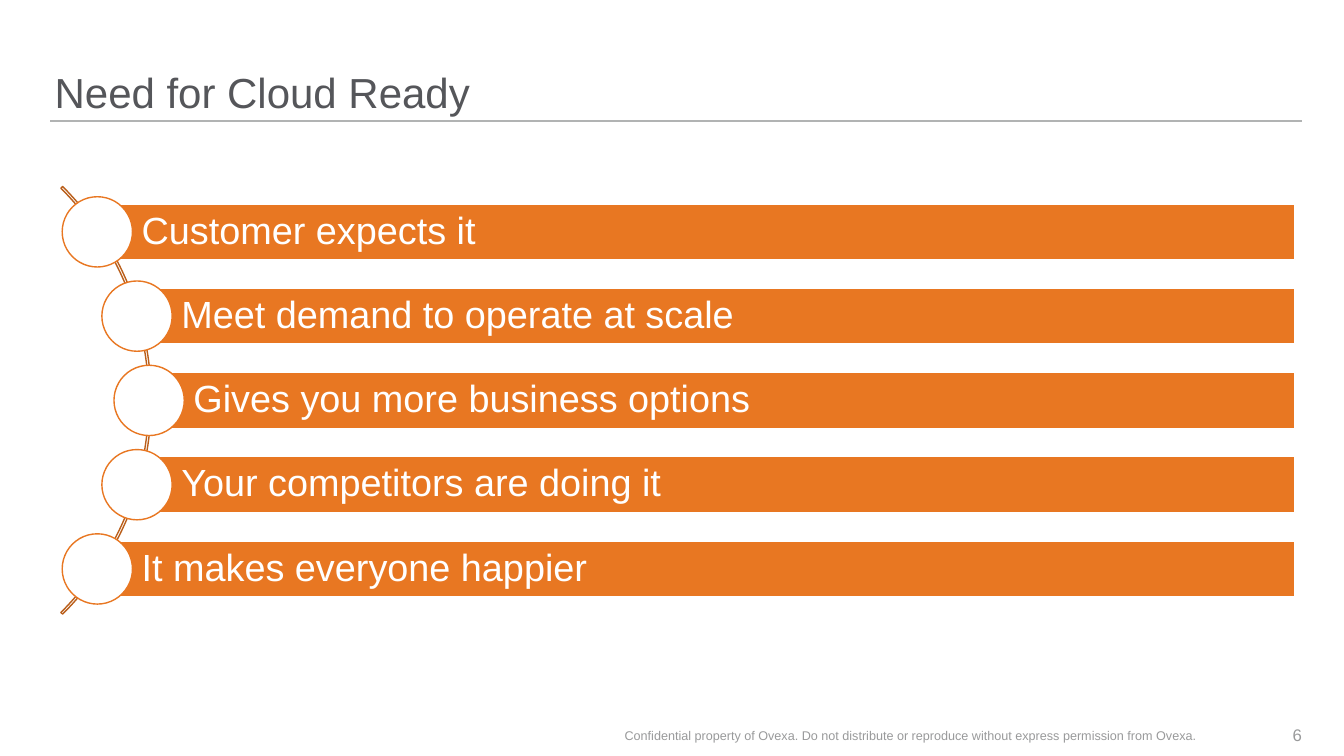
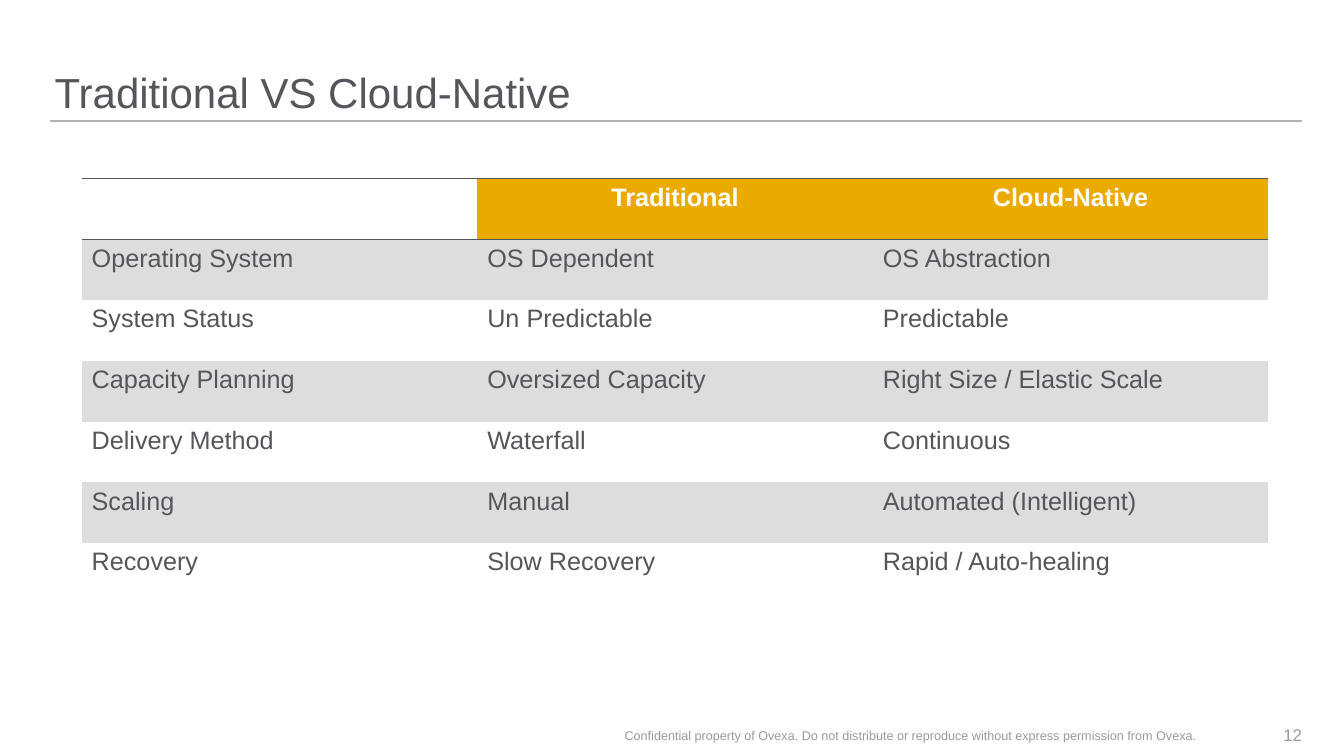
import math

import lxml.etree
import pptx
import pptx.dml.color
import pptx.enum.shapes
import pptx.enum.text
import pptx.oxml.ns
import pptx.util

Pt = pptx.util.Pt
ALIGN = pptx.enum.text.PP_ALIGN
ANCHOR = pptx.enum.text.MSO_ANCHOR
SHAPE = pptx.enum.shapes.MSO_SHAPE

COLORS = {
    "text": "55565A",
    "rule": "B1B3B3",
    "footer": "999A9B",
    "orange": "E87722",
    "arc": "BA5F1B",
    "gold": "EAAA00",
    "band": "DDDDDD",
    "white": "FFFFFF",
}
FONT = "Arial"
FOOTER = ("Confidential property of Ovexa. Do not distribute or reproduce "
          "without express permission from Ovexa.")
NO_GRID_STYLE = "{2D5ABB26-0587-4C30-8999-92F81FD0307C}"

REASONS = [
    "Customer expects it",
    "Meet demand to operate at scale",
    "Gives you more business options",
    "Your competitors are doing it",
    "It makes everyone happier",
]
COMPARISON = [
    ("", "Traditional", "Cloud-Native"),
    ("Operating System", "OS Dependent", "OS Abstraction"),
    ("System Status", "Un Predictable", "Predictable"),
    ("Capacity Planning", "Oversized Capacity", "Right Size / Elastic Scale"),
    ("Delivery Method", "Waterfall", "Continuous"),
    ("Scaling", "Manual", "Automated (Intelligent)"),
    ("Recovery", "Slow Recovery", "Rapid / Auto-healing"),
]


def color(name):
    return pptx.dml.color.RGBColor.from_string(COLORS[name])


def set_text(frame, text, size, ink, align=ALIGN.LEFT, bold=False):
    frame.text = text
    para = frame.paragraphs[0]
    para.alignment = align
    for span in para.runs:
        span.font.name = FONT
        span.font.size = Pt(size)
        span.font.bold = bold
        span.font.color.rgb = color(ink)
    return para


def set_frame(frame, anchor, left=0, other=0):
    frame.word_wrap = True
    frame.auto_size = pptx.enum.text.MSO_AUTO_SIZE.NONE
    frame.vertical_anchor = anchor
    frame.margin_left = Pt(left)
    frame.margin_top = frame.margin_right = frame.margin_bottom = Pt(other)


def add_page(deck, title, number):
    page = deck.slides.add_slide(deck.slide_layouts[5])
    rule = page.shapes.add_connector(
        pptx.enum.shapes.MSO_CONNECTOR.STRAIGHT, Pt(36), Pt(86.4), Pt(930), Pt(86.4))
    rule.line.color.rgb = color("rule")
    rule.line.width = Pt(1)
    lxml.etree.SubElement(rule._element.spPr, pptx.oxml.ns.qn("a:effectLst"))

    heading = page.shapes.title
    heading.left, heading.top, heading.width, heading.height = Pt(39), Pt(0), Pt(640), Pt(84.2)
    set_frame(heading.text_frame, ANCHOR.BOTTOM)
    set_text(heading.text_frame, title, 30, "text").line_spacing = 0.9

    for left, width, text, size, align in [
        (417, 466.5, FOOTER, 9, ALIGN.CENTER),
        (887, 43, str(number), 12, ALIGN.RIGHT),
    ]:
        box = page.shapes.add_textbox(Pt(left), Pt(510.5), Pt(width), Pt(29))
        set_frame(box.text_frame, ANCHOR.MIDDLE)
        set_text(box.text_frame, text, size, "footer", align)
    return page


def add_shape(page, kind, left, top, width, height, fill, line):
    shape = page.shapes.add_shape(kind, Pt(left), Pt(top), Pt(width), Pt(height))
    shape.shadow.inherit = False
    if fill:
        shape.fill.solid()
        shape.fill.fore_color.rgb = color(fill)
    else:
        shape.fill.background()
    shape.line.color.rgb = color(line)
    shape.line.width = Pt(1)
    return shape


def add_reasons(page):
    center_x, center_y, radius, arc_size = -108, 286, 214.5, 432
    step, bar_height, dot_size, bar_right = 60.2, 40, 50.2, 925.2
    arc = add_shape(page, SHAPE.BLOCK_ARC, center_x - arc_size / 2,
                    center_y - arc_size / 2, arc_size, arc_size, None, "arc")
    for index, value in enumerate((189, 27, 0.004)):
        arc.adjustments[index] = value

    for index, reason in enumerate(REASONS):
        offset = (index - (len(REASONS) - 1) / 2) * step
        x = center_x + math.sqrt(radius ** 2 - offset ** 2)
        y = center_y + offset
        bar = add_shape(page, SHAPE.RECTANGLE, x, y - bar_height / 2,
                        bar_right - x, bar_height, "orange", "white")
        set_frame(bar.text_frame, ANCHOR.MIDDLE, 31.7, 5)
        set_text(bar.text_frame, reason, 27, "white").line_spacing = 0.9
        add_shape(page, SHAPE.OVAL, x - dot_size / 2, y - dot_size / 2,
                  dot_size, dot_size, "white", "orange")


def add_borders(cell, ink):
    properties = cell._tc.get_or_add_tcPr()
    for position, tag in enumerate(("a:lnT", "a:lnB")):
        line = lxml.etree.Element(pptx.oxml.ns.qn(tag), w=str(Pt(1)))
        fill = lxml.etree.SubElement(line, pptx.oxml.ns.qn("a:solidFill"))
        lxml.etree.SubElement(fill, pptx.oxml.ns.qn("a:srgbClr"), val=COLORS[ink])
        properties.insert(position, line)


def add_comparison(page):
    row_height, column_width = 43.4, 282.6
    rows, columns = len(COMPARISON), len(COMPARISON[0])
    table = page.shapes.add_table(
        rows, columns, Pt(58.3), Pt(127.5),
        Pt(column_width * columns), Pt(row_height * rows)).table
    table._tbl.tblPr.find(pptx.oxml.ns.qn("a:tableStyleId")).text = NO_GRID_STYLE
    table.horz_banding = False
    for column in table.columns:
        column.width = Pt(column_width)
    for row_index, values in enumerate(COMPARISON):
        table.rows[row_index].height = Pt(row_height)
        header = row_index == 0
        for column_index, value in enumerate(values):
            cell = table.cell(row_index, column_index)
            if header:
                fill = "gold" if value else None
                set_text(cell.text_frame, value, 18, "white", ALIGN.CENTER, True)
            else:
                fill = "band" if row_index % 2 else None
                set_text(cell.text_frame, value, 18, "text")
            if fill:
                cell.fill.solid()
                cell.fill.fore_color.rgb = color(fill)
            else:
                cell.fill.background()
            if header:
                add_borders(cell, "text")


def main():
    deck = pptx.Presentation()
    deck.slide_width, deck.slide_height = Pt(960), Pt(540)
    add_reasons(add_page(deck, "Need for Cloud Ready", 6))
    add_comparison(add_page(deck, "Traditional VS Cloud-Native", 12))
    deck.save("out.pptx")


if __name__ == "__main__":
    main()
